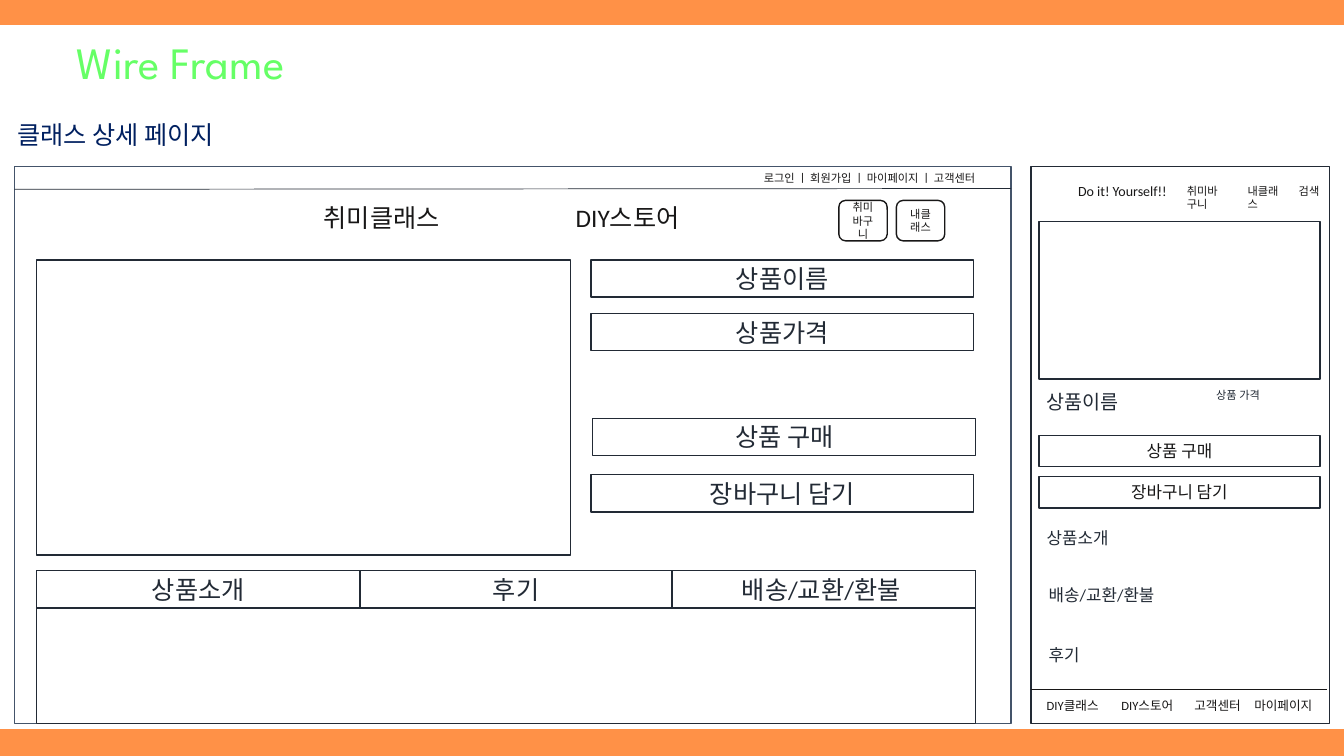
import pptx
import pptx.dml.color
import pptx.enum.shapes
import pptx.enum.text
import pptx.oxml
import pptx.util

Cm = pptx.util.Cm
SHAPES = pptx.enum.shapes.MSO_SHAPE
ALIGN = pptx.enum.text.PP_ALIGN
ANCHOR = pptx.enum.text.MSO_ANCHOR

WHITE, ORANGE, GREEN, NAVY = "FFFFFF", "FF9147", "66FF66", "002060"
SLATE, INK, BLACK = "44546A", "222A35", "181717"


def paint(color_format, color):
    color_format.rgb = pptx.dml.color.RGBColor.from_string(color)


def fill(target, color):
    target.fill.solid()
    paint(target.fill.fore_color, color)


def write(shape, text, size, color, font="Calibri", align=ALIGN.LEFT, anchor=ANCHOR.TOP, wrap=True):
    frame = shape.text_frame
    frame.word_wrap = wrap
    frame.vertical_anchor = anchor
    para = frame.paragraphs[0]
    para.alignment = align
    span = para.add_run()
    span.text = text
    span.font.size = pptx.util.Pt(size)
    span.font.name = font
    paint(span.font.color, color)


def add_label(page, box, text, size, color=INK, wrap=True):
    label = page.shapes.add_textbox(*(Cm(length) for length in box))
    write(label, text, size, color, wrap=wrap)


def add_frame(page, box, line=INK, text="", size=18, color=INK, kind=SHAPES.RECTANGLE):
    frame = page.shapes.add_shape(kind, *(Cm(length) for length in box))
    frame.shadow.inherit = False
    fill(frame, WHITE)
    paint(frame.line.color, line)
    frame.line.width = pptx.util.Pt(1)
    if text:
        write(frame, text, size, color, align=ALIGN.CENTER, anchor=ANCHOR.MIDDLE)


def add_rule(page, start, end, color):
    rule = page.shapes.add_connector(
        pptx.enum.shapes.MSO_CONNECTOR.STRAIGHT, *(Cm(length) for length in start + end))
    paint(rule.line.color, color)
    rule.line.width = pptx.util.Pt(0.5)
    properties = rule._element.spPr
    properties.append(properties.makeelement(pptx.oxml.ns.qn("a:effectLst"), {}))


def build_heading(page, box):
    left, top, width, height = box
    fill(page.background, ORANGE)
    add_frame(page, box, line=WHITE)
    title = page.shapes.title
    page.shapes._spTree.append(title._element)  # bring the title in front of the panel
    title.left, title.top = Cm(left + 1.68), Cm(top + 0.08)
    title.width, title.height = Cm(7.04), Cm(1.63)
    write(title, "Wire Frame", 32, GREEN, font="League Spartan", wrap=False)
    add_label(page, (left + 0.18, top + 2.21, 24.66, 1.02), "클래스 상세 페이지", 18, NAVY)


def build_desktop(page, box):
    left, top, width, height = box
    add_frame(page, box, line=SLATE)
    add_rule(page, (left, top + 0.58), (left + width, top + 0.56), INK)
    add_label(page, (left + 18.64, top, 6.48, 0.61),
              "로그인 ㅣ 회원가입 ㅣ 마이페이지 ㅣ 고객센터", 8, BLACK)
    for text, x in (("취미클래스", 7.55), ("DIY스토어", 13.9)):
        add_label(page, (left + x, top + 0.79, 5, 1.02), text, 18, BLACK)
    for index, text in enumerate(("취미바구니", "내클래스")):
        add_frame(page, (left + 20.78 + 1.45 * index, top + 0.86, 1.22, 1.02),
                  BLACK, text, 8, BLACK, SHAPES.ROUNDED_RECTANGLE)

    add_frame(page, (left + 0.56, top + 2.36, 13.46, 7.44))
    for text, x, y in (("상품이름", 14.53, 2.36), ("상품가격", 14.53, 3.71),
                       ("상품 구매", 14.58, 6.35), ("장바구니 담기", 14.53, 7.77)):
        add_frame(page, (left + x, top + y, 9.65, 0.94), text=text)

    tab_left, tab_top = left + 0.56, top + 10.19
    add_frame(page, (tab_left, tab_top, 23.67, height - 10.19))
    for text, tab_width in (("상품소개", 8.15), ("후기", 7.87), ("배송/교환/환불 ", 7.65)):
        add_frame(page, (tab_left, tab_top, tab_width, 0.94), text=text)
        tab_left += tab_width


def build_mobile(page, box):
    left, top, width, height = box
    add_frame(page, box)
    add_label(page, (left + 0.94, top + 0.28, 2.74, 0.69), "Do it! Yourself!!", 10, BLACK)
    for text, x in (("취미바구니", 3.68), ("내클래스", 5.21), ("검색", 6.5)):
        add_label(page, (left + x, top + 0.33, 1.5, 0.61), text, 8, BLACK, wrap=False)

    add_frame(page, (left + 0.2, top + 1.4, 7.09, 3.96))
    for text, size, x, y in (("상품이름", 14, 0.15, 5.51), ("상품 가격", 8, 4.42, 5.46),
                             ("상품소개", 12, 0.15, 8.99), ("배송/교환/환불", 12, 0.2, 10.41),
                             ("후기", 12, 0.2, 11.94)):
        add_label(page, (left + x, top + y, 4, 0.76), text, size)
    for index, text in enumerate(("상품 구매", "장바구니 담기")):
        add_frame(page, (left + 0.2, top + 6.78 + 1.04 * index, 7.09, 0.79),
                  text=text, size=12, color=BLACK)

    add_rule(page, (left, top + 13.18), (left + width - 0.05, top + 13.18), BLACK)
    for text, x in (("DIY클래스", 0.15), ("DIY스토어", 2.03), ("고객센터", 3.87), ("마이페이지", 5.38)):
        add_label(page, (left + x, top + 13.28, 2, 0.64), text, 9, BLACK, wrap=False)


def main():
    deck = pptx.Presentation()
    deck.slide_width, deck.slide_height = Cm(33.87), Cm(19.05)
    page = deck.slides.add_slide(deck.slide_layouts.get_by_name("Title Only"))
    build_heading(page, (0, 0.66, 33.87, 17.7))
    build_desktop(page, (0.36, 4.19, 25.12, 14.05))
    build_mobile(page, (25.98, 4.19, 7.52, 14.05))
    deck.save("out.pptx")


if __name__ == "__main__":
    main()
